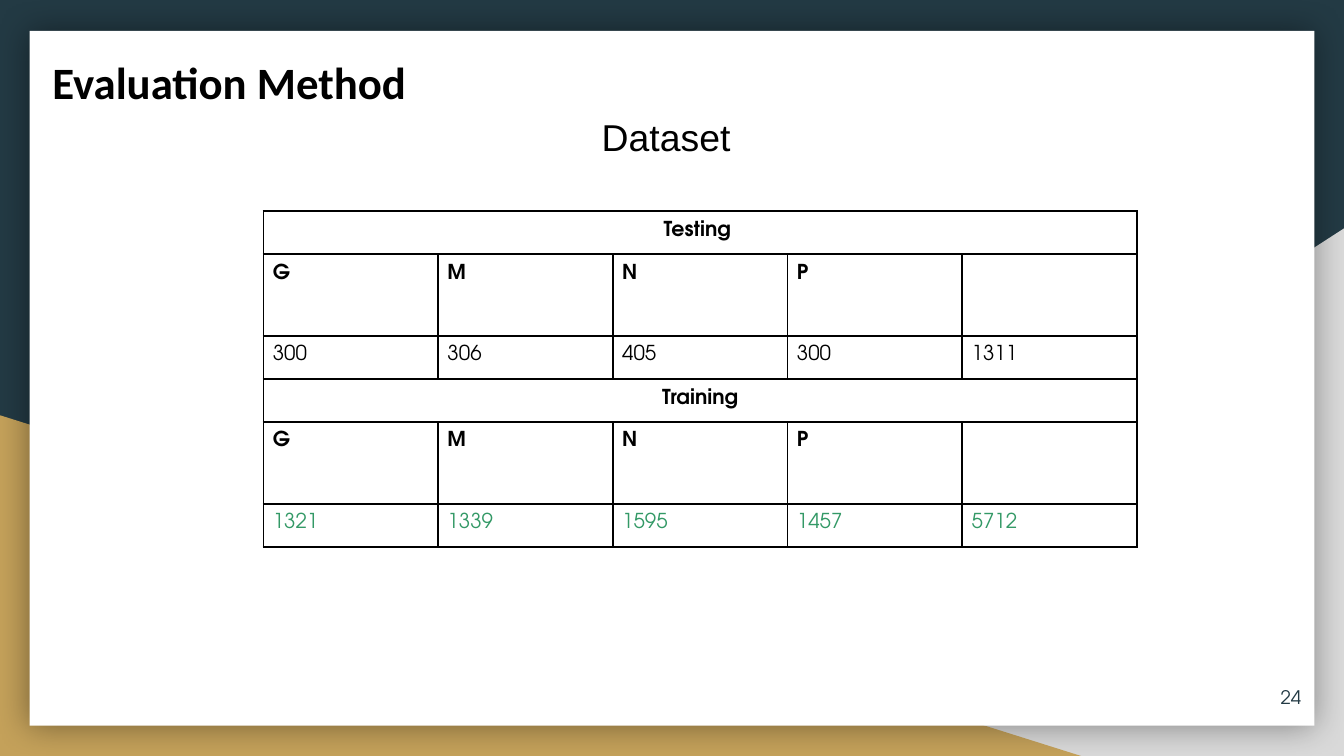
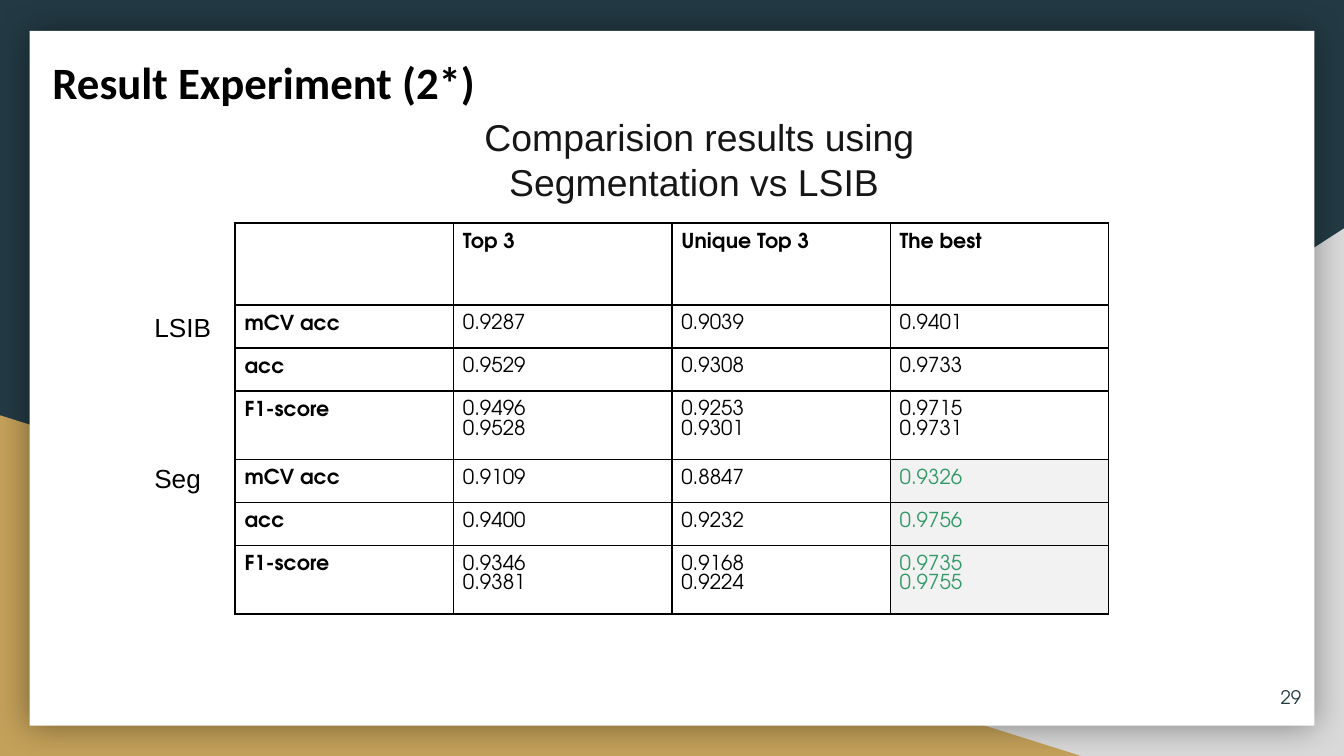
from lxml.etree import SubElement
from pptx import Presentation
from pptx.dml.color import RGBColor
from pptx.enum.shapes import MSO_SHAPE
from pptx.enum.text import MSO_ANCHOR, MSO_AUTO_SIZE, PP_ALIGN
from pptx.oxml import parse_xml
from pptx.oxml.ns import nsdecls, qn
from pptx.util import Inches, Pt

DARK, GOLD, GREY, WHITE = "233A44", "C4A15A", "D9D9D9", "FFFFFF"
BLACK, INK, GREEN, PALE = "000000", "161616", "339966", "F2F2F2"
HEAD, BODY, GRID = "Calibri", "Arial", "TeX Gyre Adventor"
LEFT, MID, RIGHT = PP_ALIGN.LEFT, PP_ALIGN.CENTER, PP_ALIGN.RIGHT


def rgb(code):
    return RGBColor.from_string(code)


def put(frame, text, name, size, color, bold=False, align=LEFT):
    frame.word_wrap = True
    frame.text = text
    for para in frame.paragraphs:
        para.alignment = align
        para.font.name = name
        para.font.size = Pt(size)
        para.font.bold = bold
        para.font.color.rgb = rgb(color)


pages = [
    {
        "title": "Evaluation Method",
        "num": "24",
        "sub": ("Dataset ", 4.05, 0.44, BLACK),
        "at": (1.96, 1.57),
        "rows": [
            ["Testing "],
            ["G", "M", "N", "P", ""],
            ["300", "306", "405", "300", "1311"],
            ["Training"],
            ["G", "M", "N ", "P", ""],
            ["1321", "1339", "1595", "1457", "5712"],
        ],
        "cols": 5,
        "high": [0.32, 0.61, 0.32] * 2,
        "green": [(5, col) for col in range(5)],
        "shade": [],
        "tags": [],
    },
    {
        "title": "Result Experiment (2*)",
        "num": "29",
        "sub": ("Comparision results using Segmentation vs LSIB ", 4.47, 0.77, INK),
        "at": (1.75, 1.66),
        "rows": [
            ["", "Top 3", "Unique Top 3", "The best"],
            ["mCV acc", "0.9287", "0.9039", "0.9401"],
            ["acc", "0.9529", "0.9308", "0.9733"],
            ["F1-score", "0.9496\n0.9528", "0.9253\n0.9301", "0.9715\n0.9731"],
            ["mCV acc", "0.9109", "0.8847", "0.9326"],
            ["acc", "0.9400", "0.9232", "0.9756"],
            ["F1-score ", "0.9346\n0.9381", "0.9168\n0.9224", "0.9735\n0.9755"],
        ],
        "cols": 4,
        "high": [0.61] + [0.32, 0.32, 0.51] * 2,
        "green": [(4, 3), (5, 3), (6, 3)],
        "shade": [(4, 3), (5, 3), (6, 3)],
        "tags": [("LSIB", 2.27), ("Seg", 3.39)],
    },
]

prs = Presentation()
prs.slide_width = Inches(10)
prs.slide_height = prs.slide_width * 9 // 16
slides = [prs.slides.add_slide(prs.slide_layouts[5]) for page in pages]

master = prs.slide_master
master.background.fill.solid()
master.background.fill.fore_color.rgb = rgb(DARK)
bands = [
    (MSO_SHAPE.RIGHT_TRIANGLE, (3.92, 1.7, 6.08, 3.93), GREY),
    (MSO_SHAPE.RIGHT_TRIANGLE, (0, 3.09, 8.06, 2.54), GOLD),
    (MSO_SHAPE.RECTANGLE, (0.22, 0.23, 9.56, 5.17), WHITE),
]
for spot, (kind, area, color) in enumerate(bands):
    band = slides[0].shapes.add_shape(kind, *map(Inches, area))
    band.shadow.inherit = False
    band.fill.solid()
    band.fill.fore_color.rgb = rgb(color)
    band.line.fill.background()
    props = band.element.spPr
    if color == GREY:
        props.find(qn("a:xfrm")).set("flipH", "1")
    if color == WHITE:
        glow = SubElement(props.find(qn("a:effectLst")), qn("a:outerShdw"),
                          blurRad=str(Pt(18)), dist="0", dir="0", rotWithShape="0")
        tint = SubElement(glow, qn("a:srgbClr"), val=BLACK)
        SubElement(tint, qn("a:alpha"), val="40000")
    master.shapes.element.insert(2 + spot, band.element)

for slide, page in zip(slides, pages):
    shapes = slide.shapes
    title = shapes.title
    title.left, title.top = Inches(0.15), Inches(0.31)
    title.width, title.height = Inches(4.15), Inches(0.61)
    frame = title.text_frame
    put(frame, page["title"], HEAD, 24, BLACK, True)
    frame.auto_size = MSO_AUTO_SIZE.SHAPE_TO_FIT_TEXT
    frame.vertical_anchor = MSO_ANCHOR.TOP
    frame.margin_left = frame.margin_right = Inches(0.1)
    frame.margin_top = frame.margin_bottom = Inches(0.1)
    indent = frame.paragraphs[0]._p.get_or_add_pPr()
    indent.set("marL", str(Inches(0.14)))
    indent.set("indent", "0")

    num = shapes.add_textbox(*map(Inches, (9.18, 4.97, 0.6, 0.43))).text_frame
    put(num, page["num"], GRID, 10, DARK, align=RIGHT)
    num.vertical_anchor = MSO_ANCHOR.MIDDLE
    num.margin_left = num.margin_right = Inches(0.1)
    num.margin_top = num.margin_bottom = Inches(0.1)

    text, wide, tall, color = page["sub"]
    notes = [(text, (2.97, 0.8, wide, tall), 20, color, MID)]
    notes += [(tag, (1.05, top, 0.7, 0.34), 14, BLACK, LEFT)
              for tag, top in page["tags"]]
    for text, area, size, color, align in notes:
        frame = shapes.add_textbox(*map(Inches, area)).text_frame
        put(frame, text, BODY, size, color, align=align)
        frame.auto_size = MSO_AUTO_SIZE.SHAPE_TO_FIT_TEXT

    rows, cols, high = page["rows"], page["cols"], page["high"]
    area = (*page["at"], 6.5, sum(high))
    table = shapes.add_table(len(rows), cols, *map(Inches, area)).table
    table.first_row = table.horz_banding = False
    for col in table.columns:
        col.width = Inches(6.5 / cols)
    for r, row in enumerate(rows):
        table.rows[r].height = Inches(high[r])
        whole = len(row) == 1
        if whole:
            table.cell(r, 0).merge(table.cell(r, cols - 1))
        for c in range(cols):
            cell = table.cell(r, c)
            cell.margin_left = cell.margin_right = Inches(0.07)
            cell.margin_top = cell.margin_bottom = Inches(0.07)
            if (r, c) in page["shade"]:
                cell.fill.solid()
                cell.fill.fore_color.rgb = rgb(PALE)
            else:
                cell.fill.background()
            for i, side in enumerate(("lnL", "lnR", "lnT", "lnB")):
                edge = parse_xml(
                    f'<a:{side} {nsdecls("a")} w="{Pt(1)}"><a:solidFill>'
                    f'<a:srgbClr val="{BLACK}"/></a:solidFill></a:{side}>')
                cell._tc.get_or_add_tcPr().insert(i, edge)
            if c < len(row):
                text = row[c]
                color = GREEN if (r, c) in page["green"] else BLACK
                put(cell.text_frame, text, GRID, 11, color,
                    not text[:1].isdigit(), MID if whole else LEFT)
                for para in cell.text_frame.paragraphs:
                    para.line_spacing = Pt(10.5)

prs.save("out.pptx")
